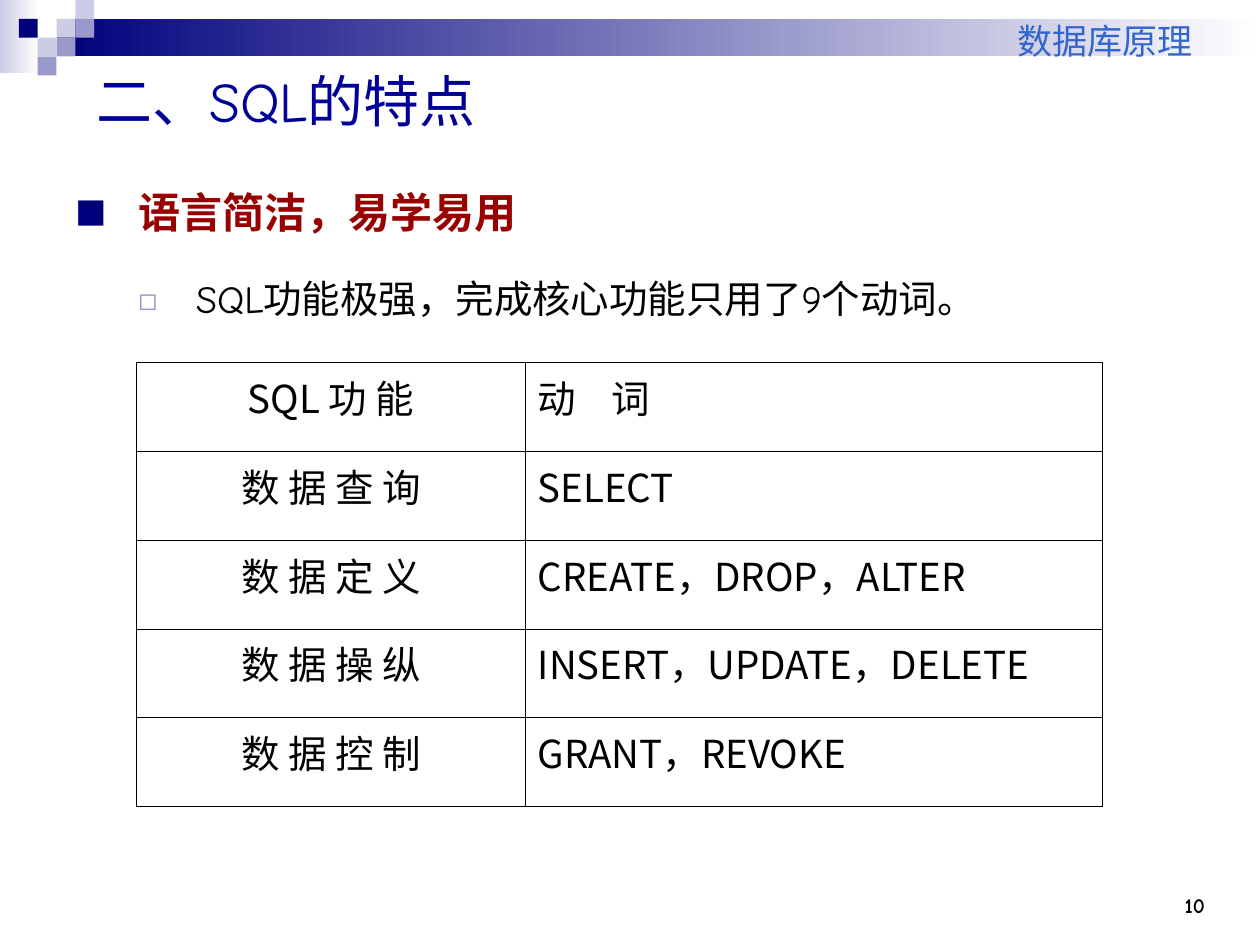
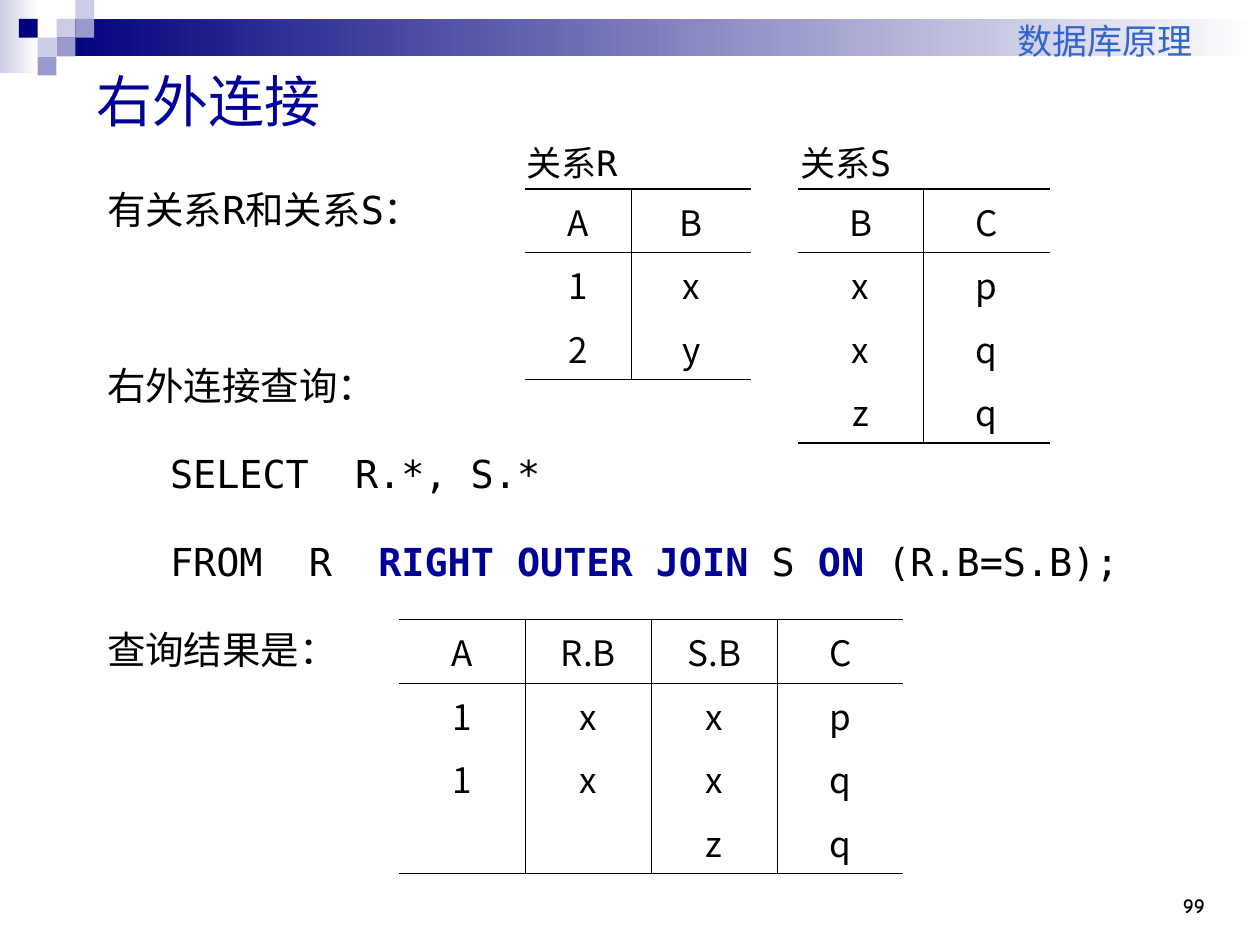
from dataclasses import dataclass
from typing import NamedTuple

from lxml import etree
from pptx import Presentation
from pptx.dml.color import RGBColor
from pptx.enum.shapes import MSO_SHAPE
from pptx.enum.text import MSO_ANCHOR, PP_ALIGN
from pptx.oxml.ns import qn
from pptx.util import Cm, Pt

RECT = MSO_SHAPE.RECTANGLE
TOP, MIDDLE, BOTTOM = MSO_ANCHOR.TOP, MSO_ANCHOR.MIDDLE, MSO_ANCHOR.BOTTOM
LEFT, CENTER, RIGHT = PP_ALIGN.LEFT, PP_ALIGN.CENTER, PP_ALIGN.RIGHT

BLACK = RGBColor(0x00, 0x00, 0x00)
WHITE = RGBColor(0xFF, 0xFF, 0xFF)
NAVY = RGBColor(0x00, 0x00, 0x7D)
LILAC = RGBColor(0xCC, 0xCC, 0xE6)
MAUVE = RGBColor(0x99, 0x99, 0xCC)
TITLE_BLUE = RGBColor(0x00, 0x00, 0x99)
HEADER_BLUE = RGBColor(0x33, 0x66, 0xCC)
DARK_RED = RGBColor(0x99, 0x00, 0x00)

COMIC = "Comic Neue"
MONO = "DejaVu Sans Mono"
CJK = "Noto Sans CJK SC"

TITLE_ONLY = 5
SQUARE = 0.38
THIN, THICK = 0.45, 1.08
BODY_GAP = 5.5
CODE_LINE = 44.8


class Box(NamedTuple):
    """Left, top, width and height in centimetres."""
    left: float
    top: float
    width: float
    height: float

    def lengths(self) -> list:
        return [Cm(v) for v in self]


class Span(NamedTuple):
    text: str
    font: str = COMIC
    size: float = 22
    color: RGBColor = BLACK
    bold: bool = False


class Bullet(NamedTuple):
    char: str
    color: RGBColor
    percent: int
    hang: float


@dataclass
class Para:
    spans: list[Span]
    align: PP_ALIGN = LEFT
    line: float | None = None
    before: float = 0
    indent: float = 0
    bullet: Bullet | None = None


@dataclass
class Grid:
    left: float
    top: float
    cols: list[float]
    row: float
    cells: list[list[str]]
    size: float = 20
    aligns: tuple = ()
    boxed: bool = False


class Square(NamedTuple):
    col: int
    row: int
    color: RGBColor


SQUARES = [
    Square(3, 1, LILAC), Square(4, 0, LILAC), Square(4, 1, MAUVE),
    Square(2, 2, LILAC), Square(1, 1, NAVY), Square(3, 2, MAUVE),
    Square(2, 3, MAUVE),
]


def style_run(r, span: Span) -> None:
    r.text = span.text
    r.font.name = span.font
    r.font.size = Pt(span.size)
    r.font.bold = span.bold
    r.font.color.rgb = span.color
    latin = r.font._element.find(qn("a:latin"))
    ea = etree.Element(qn("a:ea"), typeface=CJK)
    latin.addnext(ea)


def indent_para(p, para: Para) -> None:
    pPr = p._p.get_or_add_pPr()
    pPr.set("marL", str(Cm(para.indent)))
    bullet = para.bullet
    if bullet is None:
        pPr.set("indent", "0")
        etree.SubElement(pPr, qn("a:buNone"))
        return
    pPr.set("indent", str(-Cm(bullet.hang)))
    color = etree.SubElement(pPr, qn("a:buClr"))
    etree.SubElement(color, qn("a:srgbClr"), val=str(bullet.color))
    etree.SubElement(pPr, qn("a:buSzPct"), val=str(bullet.percent * 1000))
    etree.SubElement(pPr, qn("a:buFont"), typeface=CJK)
    etree.SubElement(pPr, qn("a:buChar"), char=bullet.char)


def fill_frame(tf, paras: list[Para], anchor: MSO_ANCHOR = TOP) -> None:
    tf.word_wrap = True
    tf.vertical_anchor = anchor
    for i, para in enumerate(paras):
        p = tf.add_paragraph() if i else tf.paragraphs[0]
        indent_para(p, para)
        p.alignment = para.align
        p.space_before = Pt(para.before)
        if para.line:
            p.line_spacing = Pt(para.line)
        for span in para.spans:
            style_run(p.add_run(), span)


def add_text(slide, box: Box, paras: list[Para],
             anchor: MSO_ANCHOR = TOP) -> None:
    tb = slide.shapes.add_textbox(*box.lengths())
    fill_frame(tb.text_frame, paras, anchor)


def add_rect(slide, box: Box, color: RGBColor, fade: bool = False) -> None:
    """Borderless rectangle, plain or fading to white on the right."""
    sp = slide.shapes.add_shape(RECT, *box.lengths())
    sp.shadow.inherit = False
    sp.line.fill.background()
    if not fade:
        sp.fill.solid()
        sp.fill.fore_color.rgb = color
        return
    sp.fill.gradient()
    sp.fill.gradient_angle = 0
    for stop, rgb in zip(sp.fill.gradient_stops, (color, WHITE)):
        stop.color.rgb = rgb


def set_border(cell, side: str, width: float) -> None:
    """Draw one cell side; a zero width hides it."""
    ln = etree.SubElement(cell._tc.get_or_add_tcPr(), qn(f"a:ln{side}"))
    if not width:
        etree.SubElement(ln, qn("a:noFill"))
        return
    ln.set("w", str(Pt(width)))
    solid = etree.SubElement(ln, qn("a:solidFill"))
    etree.SubElement(solid, qn("a:srgbClr"), val=str(BLACK))


def border_widths(grid: Grid, row: int, col: int) -> dict[str, float]:
    """Full grid when boxed, else open sides with a ruled header."""
    if grid.boxed:
        return dict.fromkeys("LRTB", THIN)
    last_row, last_col = len(grid.cells) - 1, len(grid.cols) - 1
    return {
        "L": THIN if col else 0,
        "R": THIN if col < last_col else 0,
        "T": {0: THICK, 1: THIN}.get(row, 0),
        "B": THIN if row == 0 else THICK if row == last_row else 0,
    }


def add_grid(slide, grid: Grid) -> None:
    rows, cols = len(grid.cells), len(grid.cols)
    box = Box(grid.left, grid.top, sum(grid.cols), grid.row * rows)
    table = slide.shapes.add_table(rows, cols, *box.lengths()).table
    table.first_row = table.horz_banding = False
    for column, width in zip(table.columns, grid.cols):
        column.width = Cm(width)
    for i, texts in enumerate(grid.cells):
        table.rows[i].height = Cm(grid.row)
        for j, text in enumerate(texts):
            cell = table.cell(i, j)
            for side, width in border_widths(grid, i, j).items():
                set_border(cell, side, width)
            cell.fill.background()
            p = cell.text_frame.paragraphs[0]
            if "\t" in text:
                tabs = etree.SubElement(p._p.get_or_add_pPr(), qn("a:tabLst"))
                etree.SubElement(tabs, qn("a:tab"), pos=str(Cm(1.48)), algn="l")
            p.alignment = grid.aligns[j] if grid.aligns else CENTER
            if text:
                style_run(p.add_run(), Span(text, CJK, grid.size))


def start_slide(prs, title: str, number: str):
    """Add a slide with the band, course name, title and page number."""
    slide = prs.slides.add_slide(prs.slide_layouts[TITLE_ONLY])
    add_rect(slide, Box(0, 0, 0.79, 1.47), LILAC, fade=True)
    add_rect(slide, Box(1.14, 0.38, 24.26, 0.76), NAVY, fade=True)
    for sq in SQUARES:
        add_rect(slide, Box(sq.col * SQUARE, sq.row * SQUARE, SQUARE, SQUARE),
                 sq.color)
    add_text(slide, Box(22.43, 17.35, 2.11, 1.27),
             [Para([Span(number, size=12, bold=True)], RIGHT)], BOTTOM)
    add_text(slide, Box(9.73, 0, 14.56, 1.37),
             [Para([Span("数据库原理", size=20, color=HEADER_BLUE)], RIGHT)],
             BOTTOM)
    sp = slide.shapes.title
    sp.left, sp.top, sp.width, sp.height = Box(1.7, 1.06, 22.86, 1.9).lengths()
    fill_frame(sp.text_frame,
               [Para([Span(title, size=32, color=TITLE_BLUE)])], MIDDLE)
    return slide


def build_features(prs) -> None:
    slide = start_slide(prs, "二、SQL的特点", "10")
    add_text(slide, Box(1.27, 2.97, 23.29, 4.2), [
        Para([Span("语言简洁，易学易用", size=24, color=DARK_RED, bold=True)],
             line=47.5, indent=1.27, bullet=Bullet("■", NAVY, 75, 1.27)),
        Para([Span("SQL功能极强，完成核心功能只用了9个动词。")],
             line=43, before=BODY_GAP, indent=2.43,
             bullet=Bullet("◻", MAUVE, 80, 1.16)),
    ])
    add_grid(slide, Grid(2.75, 7.31, [7.84, 11.64], 1.79, [
        ["SQL 功 能", "动\t词"],
        ["数 据 查 询", "SELECT"],
        ["数 据 定 义", "CREATE，DROP，ALTER"],
        ["数 据 操 纵", "INSERT，UPDATE，DELETE"],
        ["数 据 控 制", "GRANT，REVOKE"],
    ], size=22, aligns=(CENTER, LEFT), boxed=True))


def code(text: str) -> Span:
    return Span(text, MONO)


def keyword(text: str) -> Span:
    return Span(text, MONO, color=TITLE_BLUE, bold=True)


def build_right_join(prs) -> None:
    slide = start_slide(prs, "右外连接", "99")
    query = [code("FROM  R  "), keyword("RIGHT OUTER JOIN"), code(" S "),
             keyword("ON"), code(" (R.B=S.B);")]
    skipped_line = CODE_LINE + BODY_GAP
    add_text(slide, Box(1.91, 2.97, 23.29, 14.81), [
        Para([code("有关系R和关系S：")], line=CODE_LINE),
        Para([code("右外连接查询：")], line=CODE_LINE,
             before=BODY_GAP + skipped_line),
        Para([code("SELECT  R.*, S.*")], line=CODE_LINE, before=BODY_GAP,
             indent=1.27),
        Para(query, line=CODE_LINE, before=BODY_GAP, indent=1.27),
        Para([code("查询结果是：")], line=CODE_LINE, before=BODY_GAP),
    ])
    for left, name in ((10.36, "R"), (15.88, "S")):
        add_text(slide, Box(left, 2.33, 4.8, 1.48),
                 [Para([Span("关系", size=20), Span(name, MONO, 20)], line=35)])
    add_grid(slide, Grid(10.58, 3.81, [2.15, 2.41], 1.28,
                         [["A", "B"], ["1", "x"], ["2", "y"]]))
    add_grid(slide, Grid(16.08, 3.81, [2.54] * 2, 1.28,
                         [["B", "C"], ["x", "p"], ["x", "q"], ["z", "q"]]))
    add_grid(slide, Grid(8.05, 12.49, [2.54] * 4, 1.28, [
        ["A", "R.B", "S.B", "C"],
        ["1", "x", "x", "p"],
        ["1", "x", "x", "q"],
        ["", "", "z", "q"],
    ]))


def main() -> None:
    prs = Presentation()
    prs.slide_width, prs.slide_height = Cm(25.4), Cm(19.05)
    build_features(prs)
    build_right_join(prs)
    prs.save("out.pptx")


if __name__ == "__main__":
    main()
